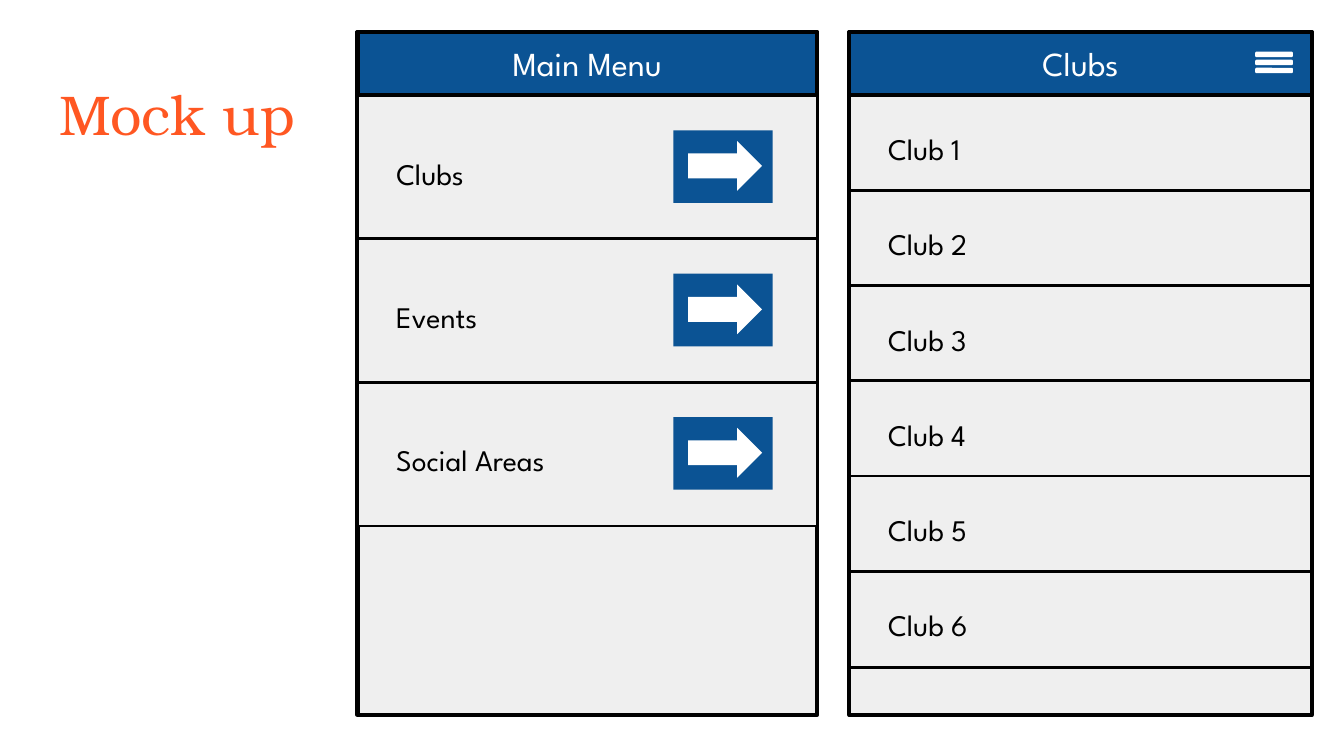
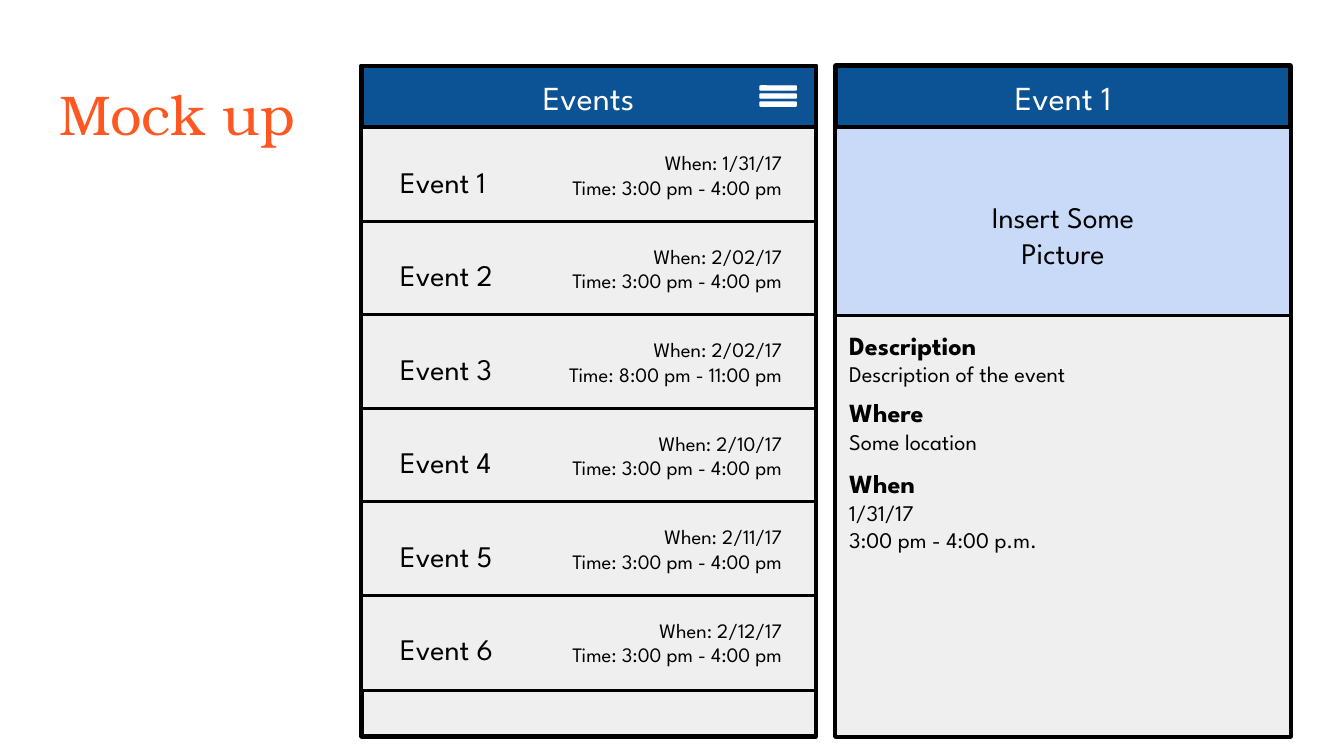
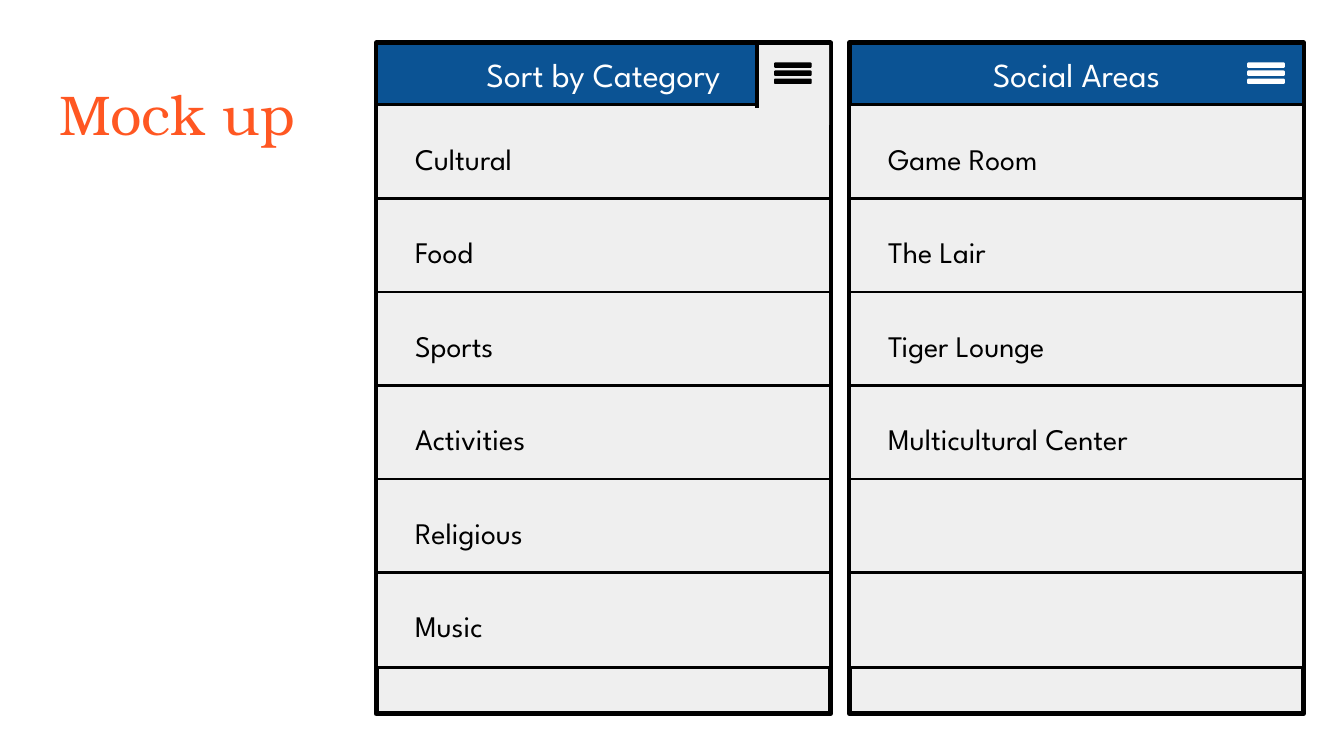
from dataclasses import dataclass, field
from typing import NamedTuple, Optional

from lxml.etree import SubElement
from pptx import Presentation
from pptx.dml.color import RGBColor
from pptx.enum.shapes import MSO_CONNECTOR, MSO_SHAPE
from pptx.enum.text import MSO_ANCHOR, MSO_AUTO_SIZE, PP_ALIGN
from pptx.oxml.ns import qn
from pptx.util import Inches, Pt

SLIDE_WIDTH = Inches(10)
SLIDE_HEIGHT = Inches(5.625)
COLUMNS = 100
CELL = SLIDE_WIDTH / COLUMNS


class Box(NamedTuple):
    left: float
    top: float
    width: float
    height: float

    def emu(self) -> list[int]:
        return [round(cells * CELL) for cells in self]


class Style(NamedTuple):
    size: float
    color: str
    font: str = "League Spartan"
    bold: bool = False


@dataclass(frozen=True)
class Theme:
    ink: str = "000000"
    white: str = "FFFFFF"
    panel: str = "EFEFEF"
    header: str = "0B5394"
    picture: str = "C9DAF8"
    frame_line: float = 2.25
    heavy_line: float = 3
    row_line: float = 1.5
    burger_line: float = 0.75
    slide_title: Style = Style(30, "FF5722", "TeX Gyre Bonum")
    screen_title: Style = Style(18, "FFFFFF")
    label: Style = Style(16, "000000")
    schedule: Style = Style(11, "000000")
    heading: Style = Style(14, "000000", bold=True)
    body: Style = Style(12, "000000")


THEME = Theme()
TITLE_BOX = Box(3.4, 4.9, 93.2, 6.3)
TEXT_HEIGHT = 3.7


class Row(NamedTuple):
    label: str = ""
    width: float = 10
    schedule: tuple[str, ...] = ()


class Detail(NamedTuple):
    offset: float
    lines: tuple[str, ...]


@dataclass(frozen=True)
class Screen:
    title: str
    left: float
    top: float
    width: float = 33.8
    height: float = 49.9
    header_height: float = 4.6
    title_width: float = 23.5
    outline: float = THEME.heavy_line
    rows: list[Row] = field(default_factory=list)
    row_pitch: float = 6.96
    row_height: float = 7.1
    label_offset: float = 1.65
    arrows: bool = False
    burger: Optional[str] = None
    open_tab: bool = False
    top_edge: bool = False
    picture: str = ""
    details: tuple[Detail, ...] = ()

    @property
    def body_top(self) -> float:
        return self.top + self.header_height

    @property
    def right(self) -> float:
        return self.left + self.width


def format_text(frame, styles: list[Style], align: PP_ALIGN, anchor: MSO_ANCHOR) -> None:
    frame.word_wrap = True
    frame.auto_size = MSO_AUTO_SIZE.NONE
    frame.vertical_anchor = anchor
    frame.margin_left = frame.margin_right = Inches(0.1)
    frame.margin_top = frame.margin_bottom = Inches(0.1)
    for paragraph, style in zip(frame.paragraphs, styles):
        paragraph.alignment = align
        for run in paragraph.runs:
            run.font.name = style.font
            run.font.size = Pt(style.size)
            run.font.bold = style.bold
            run.font.color.rgb = RGBColor.from_string(style.color)


def add_text(slide, box: Box, lines: tuple[str, ...], styles: list[Style],
             align: PP_ALIGN = PP_ALIGN.LEFT, anchor: MSO_ANCHOR = MSO_ANCHOR.TOP) -> None:
    frame = slide.shapes.add_textbox(*box.emu()).text_frame
    frame.text = "\n".join(lines)
    format_text(frame, styles, align, anchor)


def add_block(slide, box: Box, fill: str, weight: float = 0, line: str = THEME.ink,
              kind: MSO_SHAPE = MSO_SHAPE.RECTANGLE) -> None:
    block = slide.shapes.add_shape(kind, *box.emu())
    block.shadow.inherit = False
    block.fill.solid()
    block.fill.fore_color.rgb = RGBColor.from_string(fill)
    if weight:
        block.line.color.rgb = RGBColor.from_string(line)
        block.line.width = Pt(weight)
    else:
        block.line.fill.background()


def add_edge(slide, x1: float, y1: float, x2: float, y2: float) -> None:
    ends = [round(cells * CELL) for cells in (x1, y1, x2, y2)]
    edge = slide.shapes.add_connector(MSO_CONNECTOR.STRAIGHT, *ends)
    edge.line.color.rgb = RGBColor.from_string(THEME.ink)
    edge.line.width = Pt(THEME.frame_line)
    SubElement(edge._element.spPr, qn("a:effectLst"))


def draw_frame(slide, screen: Screen) -> None:
    add_block(slide, Box(screen.left, screen.top, screen.width, screen.height),
              THEME.panel, screen.outline)
    add_block(slide, Box(screen.left, screen.top, screen.width, screen.header_height),
              THEME.header, THEME.frame_line)
    title_left = screen.left + (screen.width - screen.title_width) / 2
    add_text(slide, Box(title_left, screen.top + 0.45, screen.title_width, TEXT_HEIGHT),
             (screen.title,), [THEME.screen_title], PP_ALIGN.CENTER, MSO_ANCHOR.MIDDLE)


def draw_row(slide, screen: Screen, row: Row, top: float) -> None:
    add_block(slide, Box(screen.left, top, screen.width, screen.row_height),
              THEME.panel, THEME.row_line)
    if row.label:
        add_text(slide, Box(screen.left + 1.9, top + screen.label_offset, row.width, TEXT_HEIGHT),
                 (row.label,), [THEME.label])
    if row.schedule:
        add_text(slide, Box(screen.left + 12.6, top + 1.15, 19.7, 4.7), row.schedule,
                 [THEME.schedule] * len(row.schedule), PP_ALIGN.RIGHT, MSO_ANCHOR.MIDDLE)
    if screen.arrows:
        add_block(slide, Box(screen.left + 23.5, top + 2.6, 7.4, 5.4), THEME.header)
        add_block(slide, Box(screen.left + 24.6, top + 3.4, 5.5, 3.7), THEME.white,
                  kind=MSO_SHAPE.RIGHT_ARROW)


def draw_details(slide, screen: Screen) -> None:
    picture_height = 14
    add_block(slide, Box(screen.left, screen.body_top, screen.width, picture_height),
              THEME.picture, THEME.row_line)
    add_text(slide, Box(screen.left + 9.4, screen.body_top + 4.3, 15, TEXT_HEIGHT),
             (screen.picture,), [THEME.label], PP_ALIGN.CENTER)
    details_top = screen.body_top + picture_height
    add_block(slide, Box(screen.left, details_top, screen.width,
                         screen.top + screen.height - details_top),
              THEME.panel, THEME.row_line)
    for detail in screen.details:
        styles = [THEME.heading] + [THEME.body] * (len(detail.lines) - 1)
        add_text(slide, Box(screen.left, details_top + detail.offset, screen.width, 6),
                 detail.lines, styles)


def draw_screen(slide, screen: Screen) -> None:
    draw_frame(slide, screen)
    for index, row in enumerate(screen.rows):
        draw_row(slide, screen, row, screen.body_top + index * screen.row_pitch)
    if screen.details:
        draw_details(slide, screen)
    tab_left = screen.right - 5.5
    if screen.open_tab:
        add_block(slide, Box(tab_left, screen.top, 5.4, 6.1), THEME.panel)
    if screen.burger:
        for bar in range(3):
            add_block(slide, Box(screen.right - 4.15, screen.top + 1.5 + 0.6 * bar, 2.7, 0.3),
                      screen.burger, THEME.burger_line, screen.burger,
                      MSO_SHAPE.ROUNDED_RECTANGLE)
    if screen.open_tab:
        for end in (screen.top + 4.8, screen.top):
            add_edge(slide, tab_left, screen.top + 2.6, tab_left, end)
    if screen.top_edge:
        add_edge(slide, screen.left, screen.top, screen.right, screen.top)


def add_mock_up(deck, screens: list[Screen]) -> None:
    slide = deck.slides.add_slide(deck.slide_layouts.get_by_name("Title Only"))
    title = slide.shapes.title
    title.left, title.top, title.width, title.height = TITLE_BOX.emu()
    title.text_frame.text = "Mock up"
    format_text(title.text_frame, [THEME.slide_title], PP_ALIGN.LEFT, MSO_ANCHOR.TOP)
    for screen in screens:
        draw_screen(slide, screen)


def event(number: int, width: float, date: str, hours: str = "3:00 pm - 4:00 pm") -> Row:
    return Row(f"Event {number}", width, (f"When: {date}", f"Time: {hours}"))


MAIN_MENU = Screen(
    "Main Menu", 26.6, 2.4, 34.2, 50.8, 4.7, 17.4, THEME.frame_line,
    rows=[Row("Clubs", 8.8), Row("Events", 13.4), Row("Social Areas", 20.4)],
    row_pitch=10.67, row_height=10.7, label_offset=3.45, arrows=True,
)
CLUBS = Screen(
    "Clubs", 63.2, 2.4, 34.4, 50.8, 4.7, 12.8, THEME.frame_line,
    rows=[Row(f"Club {number}", width)
          for number, width in enumerate((11.5, 12.3, 10.2, 10.2, 10.2, 10.2), 1)],
    row_pitch=7.08, row_height=7.2, burger=THEME.white,
)
EVENTS = Screen(
    "Events", 26.9, 4.9, title_width=12.6, outline=THEME.frame_line,
    rows=[
        event(1, 11.3, "1/31/17"),
        event(2, 12, "2/02/17"),
        event(3, 10, "2/02/17", "8:00 pm - 11:00 pm"),
        event(4, 10, "2/10/17"),
        event(5, 10, "2/11/17"),
        event(6, 10, "2/12/17"),
    ],
    burger=THEME.white,
)
EVENT_DETAIL = Screen(
    "Event 1", 62.2, 4.9, top_edge=True, picture="Insert Some Picture",
    details=(
        Detail(0, ("Description", "Description of the event")),
        Detail(5, ("Where", "Some location")),
        Detail(10.3, ("When", "1/31/17", "3:00 pm - 4:00 p.m.")),
    ),
)
SOCIAL_AREAS = Screen(
    "Social Areas", 63.2, 3.2, top_edge=True, burger=THEME.white,
    rows=[Row("Game Room", 15), Row("The Lair", 12.1), Row("Tiger Lounge", 15.6),
          Row("Multicultural Center", 26.7), Row(), Row()],
)
CATEGORIES = Screen(
    "Sort by Category", 28, 3.2, top_edge=True, burger=THEME.ink, open_tab=True,
    rows=[Row("Cultural", 11.3), Row("Food", 12), Row("Sports"),
          Row("Activities", 11.3), Row("Religious", 12.6), Row("Music")],
)


def main() -> None:
    deck = Presentation()
    deck.slide_width, deck.slide_height = SLIDE_WIDTH, SLIDE_HEIGHT
    for screens in ([MAIN_MENU, CLUBS], [EVENTS, EVENT_DETAIL], [SOCIAL_AREAS, CATEGORIES]):
        add_mock_up(deck, screens)
    deck.save("out.pptx")


if __name__ == "__main__":
    main()
